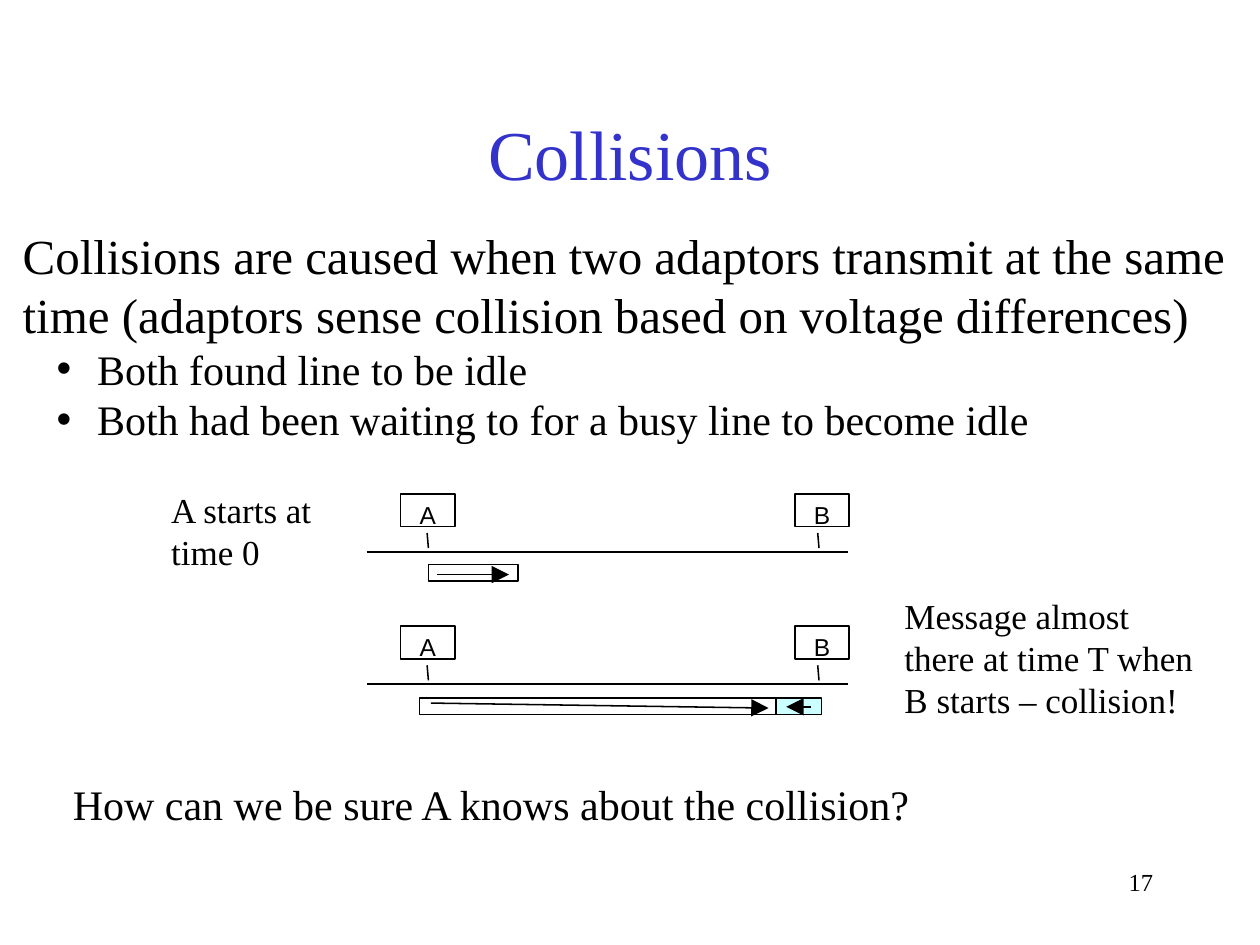
from lxml import etree
from pptx import Presentation
from pptx.dml.color import RGBColor
from pptx.enum.shapes import MSO_CONNECTOR, MSO_SHAPE
from pptx.enum.text import MSO_ANCHOR, MSO_AUTO_SIZE, PP_ALIGN
from pptx.oxml.ns import qn
from pptx.util import Inches, Pt

BLACK = RGBColor(0x00, 0x00, 0x00)
BLUE = RGBColor(0x33, 0x33, 0xCC)
CYAN = RGBColor(0xCC, 0xFF, 0xFF)
SERIF, SANS = "Times New Roman", "Arial"
LEFT, RIGHT, CENTER = PP_ALIGN.LEFT, PP_ALIGN.RIGHT, PP_ALIGN.CENTER
STROKE = Pt(0.88)
LEADING = 1.2

deck = Presentation()
deck.slide_width, deck.slide_height = Inches(10), Inches(7.5)
page = deck.slides.add_slide(deck.slide_layouts[1])


def place(shape, left, top, width, height):
    shape.left, shape.top = Inches(left), Inches(top)
    shape.width, shape.height = Inches(width), Inches(height)


def style(para, size, font=SERIF, color=BLACK, align=LEFT):
    para.font.size, para.font.name = Pt(size), font
    para.font.color.rgb = color
    para.alignment = align
    para.space_before = Pt(0)
    if font == SERIF:
        para.line_spacing = Pt(size * LEADING)


# Title
title = page.shapes.title
place(title, 0.75, 0.67, 8.5, 1.08)
title.text_frame.text = "Collisions"
title.text_frame.vertical_anchor = MSO_ANCHOR.MIDDLE
style(title.text_frame.paragraphs[0], 40, color=BLUE, align=CENTER)

# Body: a two-line statement, then two bullets
body = page.placeholders[1]
place(body, 0.08, 1.74, 9.84, 1.83)
body.text_frame.text = "\n".join([
    "Collisions are caused when two adaptors transmit at the same",
    "time (adaptors sense collision based on voltage differences)",
    "Both found line to be idle",
    "Both had been waiting to for a busy line to become idle",
])
body.text_frame.auto_size = MSO_AUTO_SIZE.NONE
for index, para in enumerate(body.text_frame.paragraphs):
    bulleted = index >= 2
    para.level = int(bulleted)
    style(para, 24 if bulleted else 28)
    properties = para._p.get_or_add_pPr()
    properties.set("marL", str(Inches(0.59) if bulleted else 0))
    properties.set("indent", str(Inches(-0.32) if bulleted else 0))
    if bulleted:
        etree.SubElement(properties, qn("a:buChar")).set("char", "•")
    else:
        etree.SubElement(properties, qn("a:buNone"))

# Diagram grid: one row per moment, one column per adaptor
ROWS = [3.92, 4.97]
COLUMNS = {"A": 3.18, "B": 6.31}
DROPS = {"A": 3.39, "B": 6.49}
BOX_WIDTH, BOX_HEIGHT = 0.43, 0.26
FRAME_HEIGHT = 0.13

frames = [  # left, top, width, height, fill
    (3.4, ROWS[0] + 0.56, 0.71, FRAME_HEIGHT, None),
    (3.33, ROWS[1] + 0.57, 2.83, FRAME_HEIGHT, None),
    (6.16, ROWS[1] + 0.57, 0.36, FRAME_HEIGHT, CYAN),
]
lines = [  # start x, start y, end x, end y, arrowhead
    (3.47, 4.56, 4.04, 4.56, True),
    (3.42, 5.58, 6.1, 5.62, True),
    (6.44, 5.61, 6.24, 5.61, True),
]
for top in ROWS:
    lines.append((2.91, top + 0.46, 6.73, top + 0.46, False))
    for name, left in COLUMNS.items():
        frames.append((left, top, BOX_WIDTH, BOX_HEIGHT, None))
        drop = DROPS[name]
        lines.append((drop, top + 0.31, drop + 0.01, top + 0.43, False))

# Adaptors and messages
for left, top, width, height, fill in frames:
    frame = page.shapes.add_shape(
        MSO_SHAPE.RECTANGLE, Inches(left), Inches(top), Inches(width), Inches(height))
    frame.shadow.inherit = False
    frame.line.color.rgb, frame.line.width = BLACK, STROKE
    if fill is None:
        frame.fill.background()
    else:
        frame.fill.solid()
        frame.fill.fore_color.rgb = fill

# Cables, drops and direction arrows
for start_x, start_y, end_x, end_y, arrow in lines:
    line = page.shapes.add_connector(
        MSO_CONNECTOR.STRAIGHT, Inches(start_x), Inches(start_y), Inches(end_x), Inches(end_y))
    line.line.color.rgb, line.line.width = BLACK, STROKE
    if arrow:
        head = etree.SubElement(line.line._get_or_add_ln(), qn("a:tailEnd"))
        for key, value in (("type", "triangle"), ("w", "lg"), ("len", "lg")):
            head.set(key, value)
    etree.SubElement(line._element.spPr, qn("a:effectLst"))

# Adaptor names
for top in ROWS:
    for name, left in COLUMNS.items():
        label = page.shapes.add_textbox(0, 0, 0, 0)
        place(label, left + 0.15, top + 0.05, 0.13, 0.23)
        text = label.text_frame
        text.margin_left = text.margin_right = text.margin_top = text.margin_bottom = 0
        text.word_wrap = False
        text.text = name
        style(text.paragraphs[0], 14, font=SANS)

# Captions, question and page number
captions = [  # text, left, top, width, height, size, alignment
    ("A starts at\ntime 0", 1.26, 3.83, 1.32, 0.77, 20, LEFT),
    ("Message almost\nthere at time T when\nB starts – collision!", 7.08, 4.67, 2.5, 1.1, 20, LEFT),
    ("How can we be sure A knows about the collision?", 0.48, 6.13, 6.87, 0.5, 24, LEFT),
    ("17", 7.17, 6.83, 2.08, 0.5, 14, RIGHT),
]
for words, left, top, width, height, size, align in captions:
    caption = page.shapes.add_textbox(0, 0, 0, 0)
    place(caption, left, top, width, height)
    caption.text_frame.word_wrap = align == RIGHT
    caption.text_frame.text = words
    for para in caption.text_frame.paragraphs:
        style(para, size, align=align)

deck.save("out.pptx")
